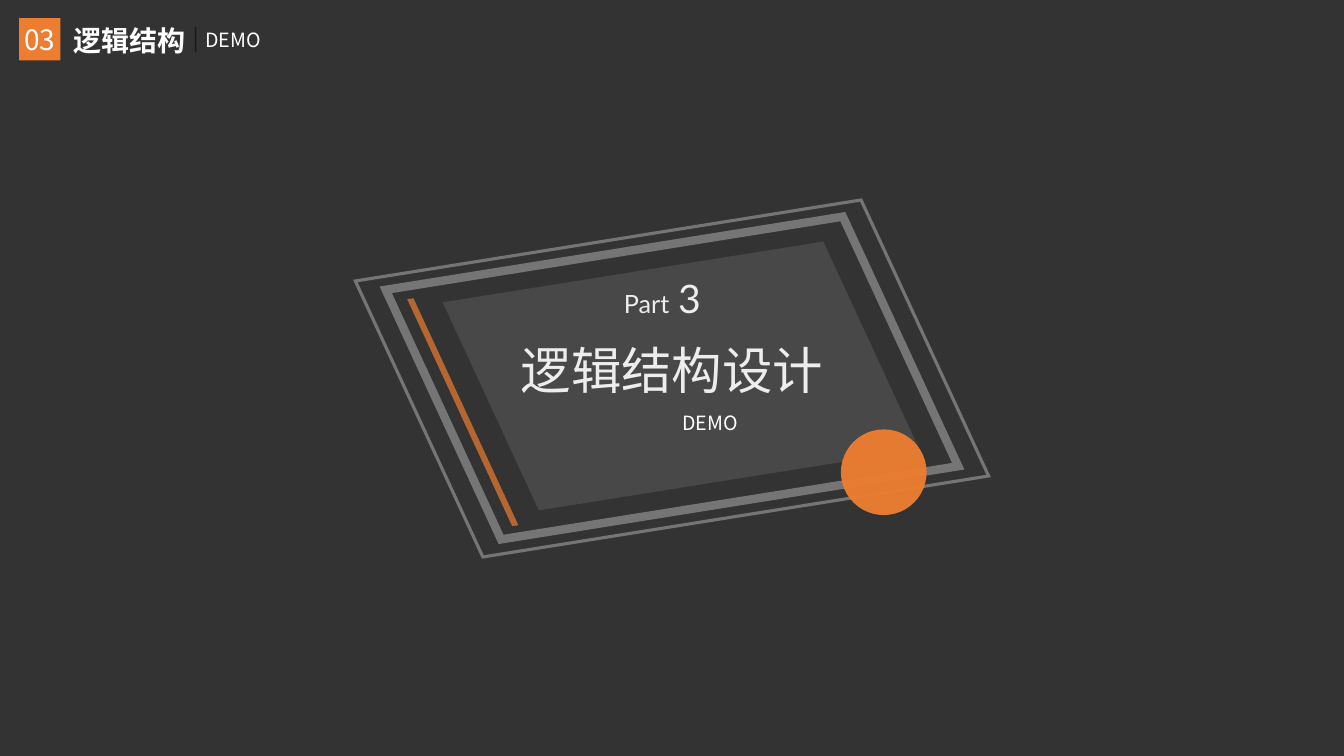
"""Build the section slide for part 3, logical structure design."""
from lxml.etree import SubElement
from pptx import Presentation
from pptx.dml.color import RGBColor
from pptx.enum.shapes import MSO_CONNECTOR, MSO_SHAPE
from pptx.enum.text import MSO_ANCHOR, MSO_AUTO_SIZE, PP_ALIGN
from pptx.oxml.ns import qn
from pptx.util import Inches, Pt

CJK, LATIN = "Noto Sans CJK SC", "Lato"
ORANGE, WHITE, GREY = "ED7D31", "FFFFFF", "D9D9D9"
TILT, SLANT = 65.2, 0.313

FRAMES = [((4.47, 1.31, 4.39, 4.89), 2.25), ((4.68, 1.54, 3.97, 4.42), 6)]
PANEL = (5.1, 1.89, 3.31, 3.68)
STRIPE = (3.34, 4.06, 2.5, 0.06)
DISC = (8.34, 4.26, 0.85, 0.85)
BADGE = (0.19, 0.18, 0.41, 0.42)
PART = [("Part", 18), (" ", 24), ("3", 28)]
TITLE = [("逻辑结构设计", 36)]
SECTION = [("逻辑结构", 20)]
NUMBER = [("03", 20)]
DEMO = [("DEMO", 14)]
DEMO_SPOTS = [(1.94, 0.23), (6.67, 4.03)]


def paint(fill, color, alpha=100):
    fill.solid()
    fill.fore_color.rgb = RGBColor.from_string(color)
    if alpha < 100:
        for clr in fill._xPr.iter(qn("a:srgbClr")):
            SubElement(clr, qn("a:alpha"), val=str(alpha * 1000))


def place(sp, box):
    sp.left, sp.top, sp.width, sp.height = map(Inches, box)


def add_shape(s, kind, box, color=None, alpha=100, line=None):
    sp = s.shapes.add_shape(kind, *map(Inches, box))
    sp.shadow.inherit = False
    if kind == MSO_SHAPE.PARALLELOGRAM:
        sp.rotation = TILT
        sp.adjustments[0] = SLANT
    if line:
        sp.fill.background()
        sp.line.width = Pt(line)
        paint(sp.line.fill, color, alpha)
        SubElement(sp.line._ln, qn("a:miter"), lim="800000")
    else:
        paint(sp.fill, color, alpha)
        sp.line.fill.background()
    return sp


def write(sp, runs, font=CJK, alpha=100, bold=False, align=PP_ALIGN.LEFT,
          anchor=MSO_ANCHOR.TOP, wrap=False, inset=0.1):
    tf = sp.text_frame
    tf.word_wrap = wrap
    tf.auto_size = MSO_AUTO_SIZE.NONE
    tf.vertical_anchor = anchor
    tf.margin_left = tf.margin_right = Inches(inset)
    p = tf.paragraphs[0]
    p.alignment = align
    for text, size in runs:
        r = p.add_run()
        r.text = text
        r.font.size, r.font.bold, r.font.name = Pt(size), bold, font
        paint(r.font.fill, WHITE, alpha)
        SubElement(r.font._rPr, qn("a:ea"), typeface=font)


def add_text(s, box, runs, **fmt):
    write(s.shapes.add_textbox(*map(Inches, box)), runs, **fmt)


def main():
    prs = Presentation()
    prs.slide_width, prs.slide_height = Inches(13.33), Inches(7.5)
    s = prs.slides.add_slide(prs.slide_layouts[5])
    paint(s.background.fill, "333333")

    for box, width in FRAMES:
        add_shape(s, MSO_SHAPE.PARALLELOGRAM, box, GREY, 40, line=width)
    add_shape(s, MSO_SHAPE.PARALLELOGRAM, PANEL, "D0CECE", 14)
    add_shape(s, MSO_SHAPE.OVAL, DISC, ORANGE, 96)
    add_text(s, (6.09, 2.67, 1.15, 0.57), PART, font=LATIN, alpha=90)

    title = s.shapes.title
    place(title, (5.02, 3.31, 3.29, 0.71))
    write(title, TITLE, alpha=90, align=PP_ALIGN.CENTER)
    s.shapes._spTree.append(title.element)

    add_shape(s, MSO_SHAPE.PARALLELOGRAM, STRIPE, ORANGE, 70)
    add_text(s, (0.63, 0.18, 1.38, 0.44), SECTION, bold=True,
             anchor=MSO_ANCHOR.MIDDLE, wrap=True)
    badge = add_shape(s, MSO_SHAPE.RECTANGLE, BADGE, ORANGE)
    write(badge, NUMBER, align=PP_ALIGN.CENTER, anchor=MSO_ANCHOR.MIDDLE, inset=0)

    divider = s.shapes.add_connector(
        MSO_CONNECTOR.STRAIGHT, *map(Inches, (1.94, 0.27, 1.94, 0.52)))
    divider.line.width = Pt(1)
    paint(divider.line.fill, "000000", 49)
    SubElement(divider.element.spPr, qn("a:effectLst"))

    for left, top in DEMO_SPOTS:
        add_text(s, (left, top, 0.83, 0.34), DEMO)
    prs.save("out.pptx")


if __name__ == "__main__":
    main()
